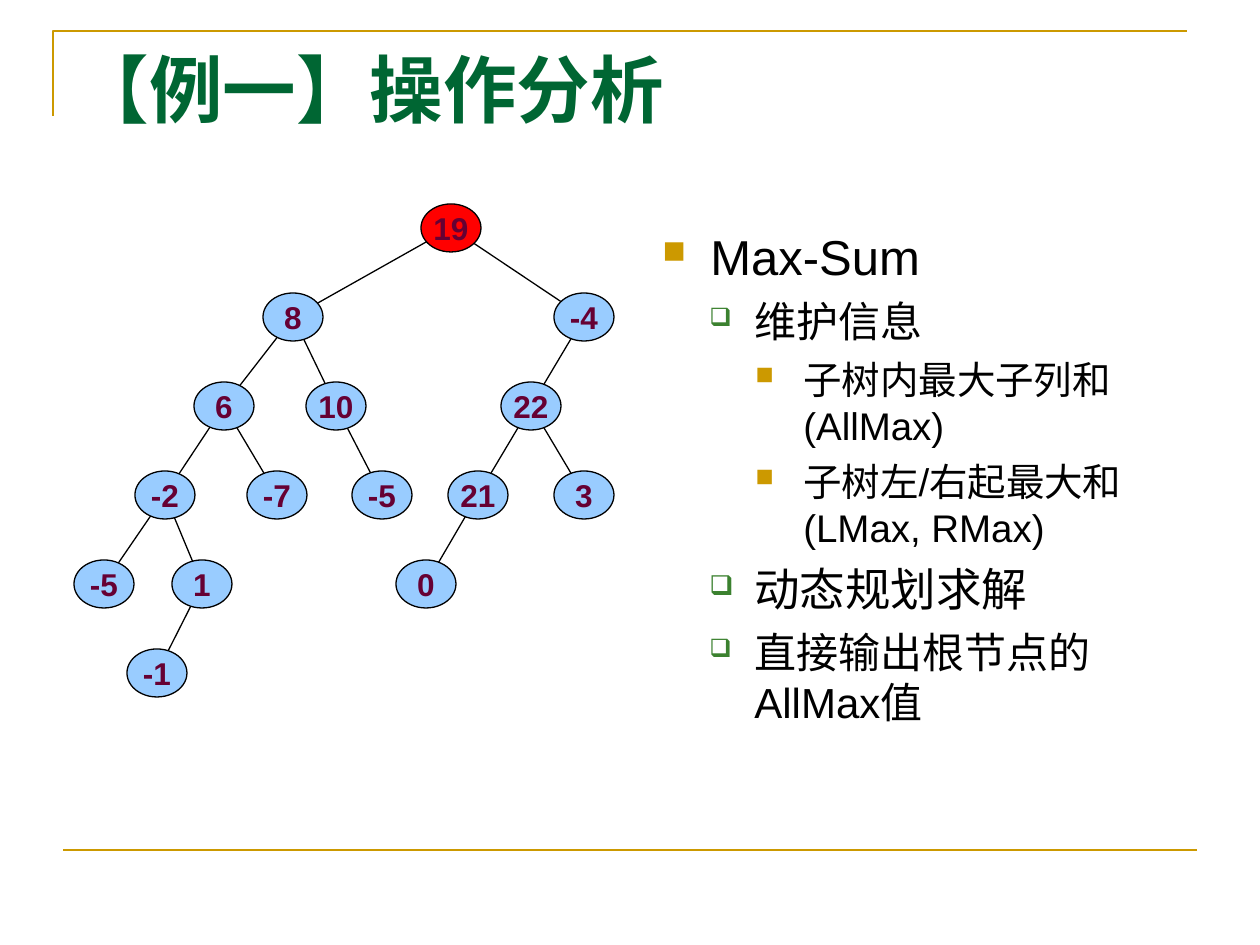
from dataclasses import dataclass

from lxml.etree import SubElement
from pptx import Presentation
from pptx.dml.color import RGBColor
from pptx.enum.shapes import MSO_CONNECTOR as Connector, MSO_SHAPE as Shape
from pptx.enum.text import MSO_ANCHOR as Anchor, MSO_AUTO_SIZE as AutoSize, PP_ALIGN as Align
from pptx.oxml.ns import qn
from pptx.util import Emu, Pt

PX_PER_INCH = 126


def px(length):
    return Emu(round(length * 914400 / PX_PER_INCH))


@dataclass(frozen=True)
class Theme:
    gold: str = "CC9900"
    title_green: str = "006633"
    bullet_green: str = "3B812F"
    black: str = "000000"
    node_blue: str = "99CCFF"
    root_red: str = "FF0000"
    node_text: str = "660033"
    title_font: str = "Times New Roman"
    body_font: str = "Arial"
    title_size: int = 42
    topic_size: int = 28
    step_size: int = 24
    key_step_size: int = 26
    detail_size: int = 22
    node_size: int = 18
    rule_width: float = 1.5
    edge_width: float = 0.75


THEME = Theme()

# Outline levels: left margin px, hanging indent px, bullet, colour, size in %
LEVELS = (
    (48, 48, "■", THEME.gold, 65),
    (92, 45, "❑", THEME.bullet_green, 60),
    (141, 48, "■", THEME.gold, 65),
)

# Level, text size, text
OUTLINE = (
    (0, THEME.topic_size, "Max-Sum"),
    (1, THEME.step_size, "维护信息"),
    (2, THEME.detail_size, "子树内最大子列和(AllMax)"),
    (2, THEME.detail_size, "子树左/右起最大和(LMax, RMax)"),
    (1, THEME.key_step_size, "动态规划求解"),
    (1, THEME.step_size, "直接输出根节点的AllMax值"),
)

# Each node: label, centre x in px, children
TREE = ("19", 451, [
    ("8", 293, [
        ("6", 224, [
            ("-2", 165, [
                ("-5", 104, []),
                ("1", 202, [("-1", 157, [])]),
            ]),
            ("-7", 277, []),
        ]),
        ("10", 336, [("-5", 382, [])]),
    ]),
    ("-4", 584, [
        ("22", 531, [
            ("21", 478, [("0", 426, [])]),
            ("3", 584, []),
        ]),
    ]),
])
ROOT_Y, ROW_STEP = 228, 89
NODE_WIDTH, NODE_HEIGHT = 60, 48


class SlideBuilder:
    def __init__(self, slide, theme):
        self.slide = slide
        self.theme = theme

    def style_runs(self, paragraph, font, size, color, bold=False):
        for run in paragraph.runs:
            run.font.name = font
            run.font.size = Pt(size)
            run.font.bold = bold
            run.font.color.rgb = RGBColor.from_string(color)

    def style_line(self, shape, color, width):
        shape.line.color.rgb = RGBColor.from_string(color)
        shape.line.width = Pt(width)

    def title(self, text, left, top, width, height):
        heading = self.slide.shapes.title
        heading.left, heading.top = px(left), px(top)
        heading.width, heading.height = px(width), px(height)
        frame = heading.text_frame
        frame.text = text
        frame.auto_size = AutoSize.NONE
        frame.vertical_anchor = Anchor.TOP
        paragraph = frame.paragraphs[0]
        paragraph.alignment = Align.LEFT
        self.style_runs(paragraph, self.theme.title_font, self.theme.title_size,
                        self.theme.title_green, bold=True)

    def corner(self, points):
        start, *rest = [(px(x), px(y)) for x, y in points]
        builder = self.slide.shapes.build_freeform(*start, scale=1.0)
        builder.add_line_segments(rest, close=False)
        frame_corner = builder.convert_to_shape()
        frame_corner.fill.background()
        frame_corner.shadow.inherit = False
        self.style_line(frame_corner, self.theme.gold, self.theme.rule_width)

    def line(self, x1, y1, x2, y2, color, width):
        connector = self.slide.shapes.add_connector(
            Connector.STRAIGHT, px(x1), px(y1), px(x2), px(y2))
        self.style_line(connector, color, width)
        SubElement(connector._element.spPr, qn("a:effectLst"))

    def node(self, label, x, y, fill):
        ellipse = self.slide.shapes.add_shape(
            Shape.OVAL, px(x - NODE_WIDTH // 2), px(y - NODE_HEIGHT // 2),
            px(NODE_WIDTH), px(NODE_HEIGHT))
        ellipse.shadow.inherit = False
        ellipse.fill.solid()
        ellipse.fill.fore_color.rgb = RGBColor.from_string(fill)
        self.style_line(ellipse, self.theme.black, self.theme.edge_width)
        frame = ellipse.text_frame
        frame.text = label
        frame.word_wrap = False
        frame.vertical_anchor = Anchor.MIDDLE
        paragraph = frame.paragraphs[0]
        paragraph.alignment = Align.CENTER
        self.style_runs(paragraph, self.theme.body_font, self.theme.node_size,
                        self.theme.node_text, bold=True)

    def bullet(self, paragraph, level):
        margin, hanging, mark, color, percent = LEVELS[level]
        properties = paragraph._p.get_or_add_pPr()
        properties.set("marL", str(px(margin)))
        properties.set("indent", str(-px(hanging)))
        SubElement(SubElement(properties, qn("a:buClr")), qn("a:srgbClr"), val=color)
        SubElement(properties, qn("a:buSzPct"), val=str(percent * 1000))
        SubElement(properties, qn("a:buChar"), char=mark)

    def outline(self, items, left, top, width, height):
        frame = self.slide.shapes.add_textbox(
            px(left), px(top), px(width), px(height)).text_frame
        frame.word_wrap = True
        frame.text = "\n".join(text for _, _, text in items)
        for paragraph, (level, size, _) in zip(frame.paragraphs, items):
            paragraph.level = level
            paragraph.space_before = Pt(size / 4)
            self.bullet(paragraph, level)
            self.style_runs(paragraph, self.theme.body_font, size, self.theme.black)


def walk(node, depth=0, parent_x=None):
    """Yield label, x, depth and parent x for every node of the tree."""
    label, x, children = node
    yield label, x, depth, parent_x
    for child in children:
        yield from walk(child, depth + 1, x)


def main():
    deck = Presentation()
    deck.slide_width, deck.slide_height = px(1260), px(945)
    page = SlideBuilder(deck.slides.add_slide(deck.slide_layouts[5]), THEME)

    # Frame rules and title
    page.corner([(53, 116), (53, 31), (1187, 31)])
    page.line(63, 850, 1197, 850, THEME.gold, THEME.rule_width)
    page.title("【例一】操作分析", 63, 38, 1134, 158)

    # Explanation
    page.outline(OUTLINE, 650, 220, 547, 624)

    # Tree: edges first, so that the nodes cover their ends
    nodes = list(walk(TREE))
    for _, x, depth, parent_x in nodes[1:]:
        y = ROOT_Y + depth * ROW_STEP
        page.line(parent_x, y - ROW_STEP, x, y, THEME.black, THEME.edge_width)
    for label, x, depth, _ in nodes:
        fill = THEME.node_blue if depth else THEME.root_red
        page.node(label, x, ROOT_Y + depth * ROW_STEP, fill)

    deck.save("out.pptx")


if __name__ == "__main__":
    main()
